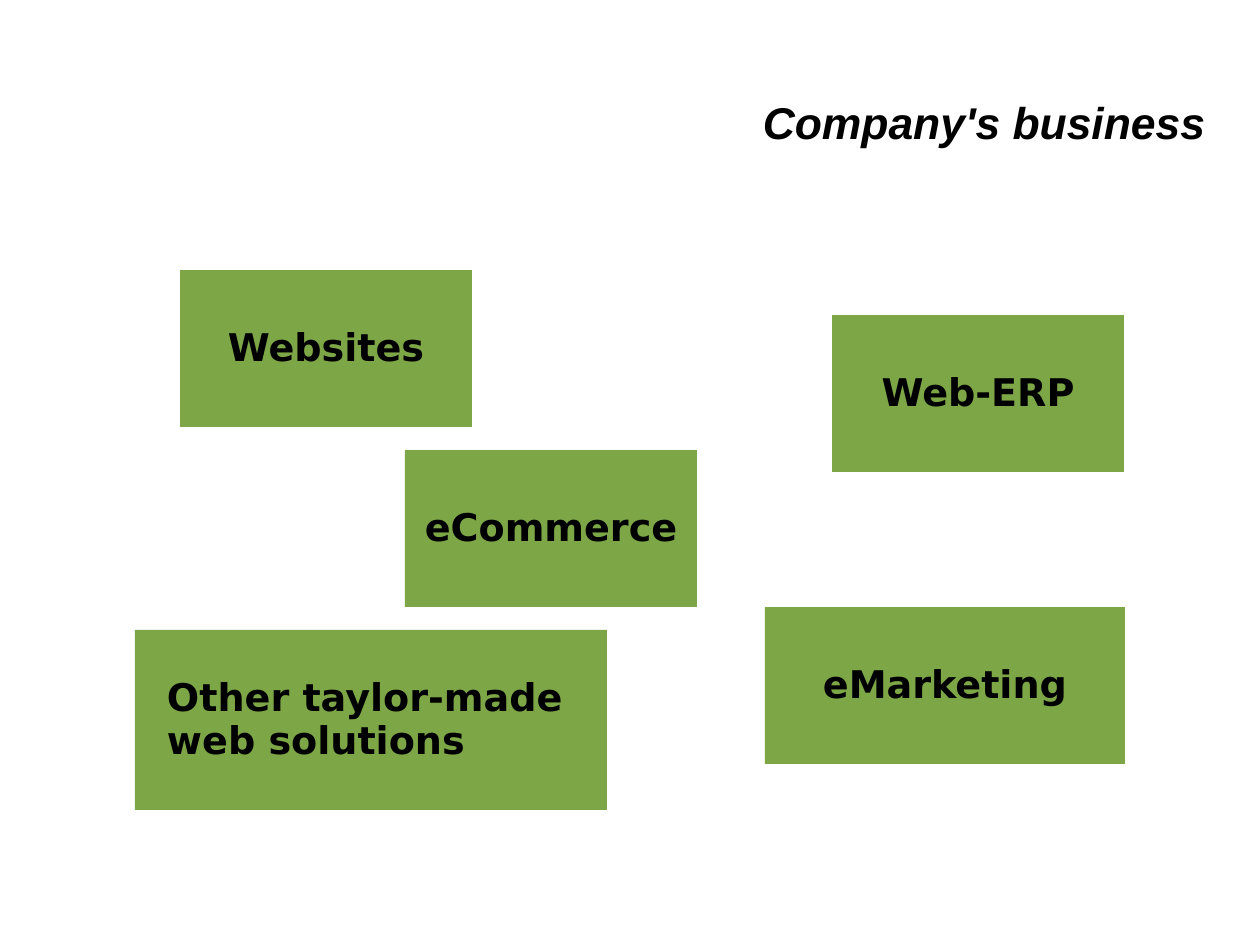
import pptx
import pptx.dml.color
import pptx.enum.shapes
import pptx.enum.text
import pptx.util
from dataclasses import dataclass

Align = pptx.enum.text.PP_ALIGN
SCALE = 8000  # EMU in one px


@dataclass
class Theme:
    ink: str = "000000"
    green: str = "7DA647"
    paper: str = "FFFFFF"
    head: str = "Arial"
    body: str = "DejaVu Sans"
    big: int = 28
    mid: int = 24


def px(n):
    return pptx.util.Emu(n * SCALE)


def rgb(code):
    return pptx.dml.color.RGBColor.from_string(code)


def write(frame, text, *, font, size, color, align, pitch, pad, italic=False):
    """Fill a text frame, one paragraph for each line of text."""
    frame.word_wrap = True
    frame.auto_size = pptx.enum.text.MSO_AUTO_SIZE.NONE
    frame.vertical_anchor = pptx.enum.text.MSO_ANCHOR.MIDDLE
    frame.margin_left, frame.margin_top, frame.margin_right, frame.margin_bottom = map(px, pad)
    for i, line in enumerate(text.split("\n")):
        para = frame.add_paragraph() if i else frame.paragraphs[0]
        para.alignment = align
        para.line_spacing = pitch
        para.space_before = pptx.util.Pt(0)
        run = para.add_run()
        run.text = line
        run.font.name = font
        run.font.size = pptx.util.Pt(size)
        run.font.bold = True
        run.font.italic = italic
        run.font.color.rgb = rgb(color)


class Deck:
    def __init__(self, theme, width, height):
        self.theme = theme
        self.show = pptx.Presentation()
        self.show.slide_width, self.show.slide_height = px(width), px(height)
        self.slide = self.show.slides.add_slide(self.show.slide_layouts[5])
        fill = self.slide.background.fill
        fill.solid()
        fill.fore_color.rgb = rgb(theme.paper)

    def title(self, text, x, y, w, h):
        t = self.theme
        head = self.slide.shapes.title
        head.left, head.top, head.width, head.height = map(px, (x, y, w, h))
        write(head.text_frame, text, font=t.head, size=t.big, color=t.ink,
              align=Align.RIGHT, pitch=0.93, pad=(0, 0, 0, 0), italic=True)

    def box(self, text, x, y, w=292, h=157, align=Align.CENTER, inset=11):
        t = self.theme
        rect = pptx.enum.shapes.MSO_SHAPE.RECTANGLE
        box = self.slide.shapes.add_shape(rect, *map(px, (x, y, w, h)))
        box.shadow.inherit = False
        box.fill.solid()
        box.fill.fore_color.rgb = rgb(t.green)
        box.line.fill.background()
        write(box.text_frame, text, font=t.body, size=t.mid, color=t.ink,
              align=align, pitch=0.95, pad=(inset, 6, 11, 6))


def main():
    deck = Deck(Theme(), 1260, 945)

    # Heading
    deck.title("Company's business", 405, 69, 800, 112)

    # Fields of business
    deck.box("Websites", 180, 270)
    deck.box("eCommerce", 405, 450)
    deck.box("Web-ERP", 832, 315)
    deck.box("eMarketing", 765, 607, w=360)
    deck.box("Other taylor-made\nweb solutions", 135, 630, w=472, h=180,
             align=Align.LEFT, inset=32)

    deck.show.save("out.pptx")


if __name__ == "__main__":
    main()
